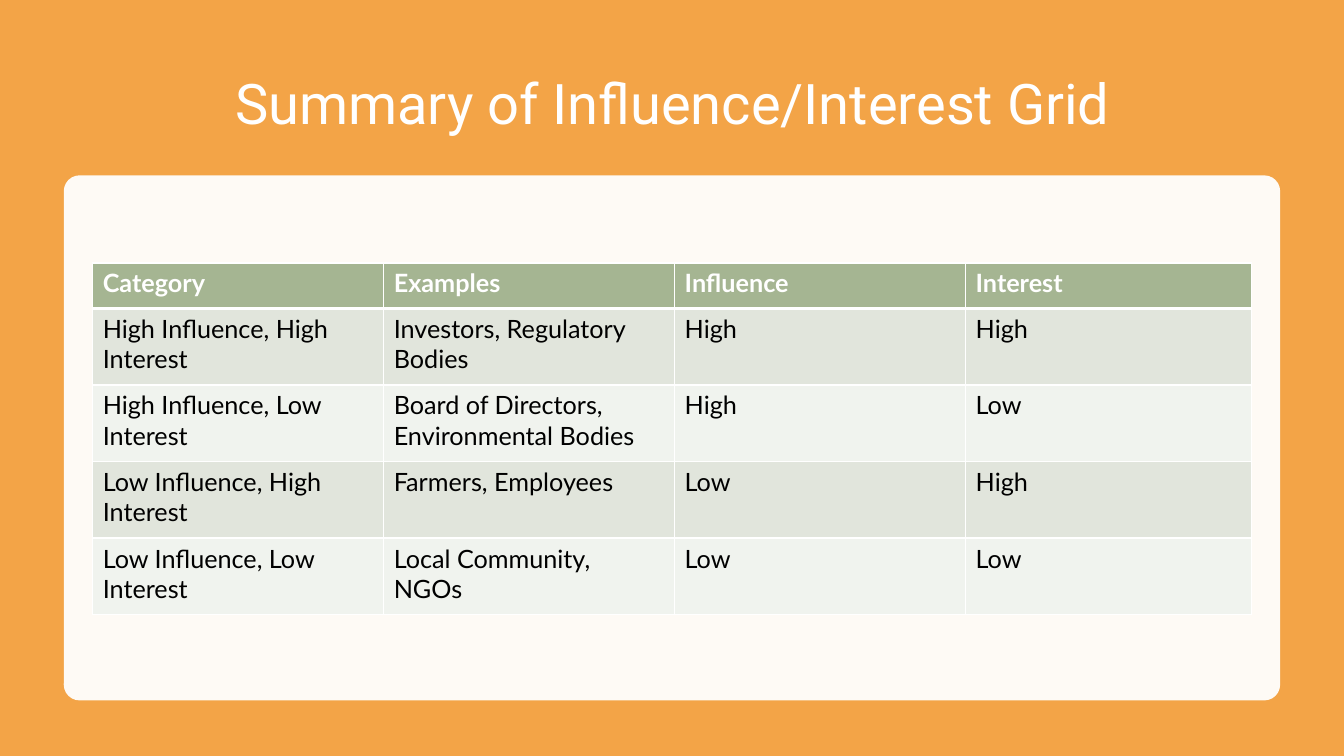
from lxml import etree
from pptx import Presentation
from pptx.dml.color import RGBColor
from pptx.enum.shapes import MSO_SHAPE
from pptx.enum.text import MSO_ANCHOR, PP_ALIGN
from pptx.oxml.ns import qn
from pptx.util import Inches, Pt

RECT, ROUND = MSO_SHAPE.RECTANGLE, MSO_SHAPE.ROUNDED_RECTANGLE
MIDDLE, CENTER = MSO_ANCHOR.MIDDLE, PP_ALIGN.CENTER
TITLE_ONLY = 5
HEX = {"orange": "F3A447", "white": "FFFFFF", "black": "000000",
       "head": "A5B592", "odd": "E1E5DC", "even": "F0F3EE"}
GRID = [
    ("Category", "Examples", "Influence", "Interest"),
    ("High Influence, High Interest", "Investors, Regulatory Bodies", "High", "High"),
    ("High Influence, Low Interest", "Board of Directors, Environmental Bodies",
     "High", "Low"),
    ("Low Influence, High Interest", "Farmers, Employees", "Low", "High"),
    ("Low Influence, Low Interest", "Local Community, NGOs", "Low", "Low"),
]


def tint(name):
    return RGBColor.from_string(HEX[name])


class Deck:
    """Holds the style and the current slide; lengths are percent of its size."""

    def __init__(self):
        self.prs = Presentation()
        self.prs.slide_width, self.prs.slide_height = Inches(13.33), Inches(7.5)
        self.slide = self.prs.slides.add_slide(self.prs.slide_layouts[TITLE_ONLY])

    def wide(self, share):
        return round(self.prs.slide_width * share / 100)

    def high(self, share):
        return round(self.prs.slide_height * share / 100)

    def box(self, left, top, width, height):
        return self.wide(left), self.high(top), self.wide(width), self.high(height)

    def style(self, para, font, size, color, bold=False):
        for run in para.runs:
            run.font.name, run.font.size, run.font.bold = font, Pt(size), bold
            run.font.color.rgb = tint(color)

    def panel(self, kind, box, color, alpha=100, round_by=None):
        shape = self.slide.shapes.add_shape(kind, *self.box(*box))
        shape.shadow.inherit = False
        shape.fill.solid()
        shape.fill.fore_color.rgb = tint(color)
        shape.line.fill.background()
        if round_by is not None:
            shape.adjustments[0] = round_by
        if alpha < 100:
            fill = shape.fill._xPr.find(qn("a:solidFill"))
            etree.SubElement(fill[0], qn("a:alpha"), val=str(alpha * 1000))

    def title(self, text, box):
        """Fill the title placeholder and bring it in front of the panels."""
        title = self.slide.shapes.title
        title.left, title.top, title.width, title.height = self.box(*box)
        frame = title.text_frame
        frame.text = text
        frame.word_wrap = True
        frame.vertical_anchor = MIDDLE
        para = frame.paragraphs[0]
        para.alignment, para.line_spacing = CENTER, 0.9
        self.style(para, "Roboto", 40, "white")
        self.slide.shapes._spTree.append(title._element)

    def edge(self, cell, sides):
        """Draw white borders; sides maps L, R, T, B to a width in points."""
        props = cell._tc.get_or_add_tcPr()
        for spot, (side, width) in enumerate(sides.items()):
            line = etree.Element(qn(f"a:ln{side}"), w=str(Pt(width)))
            fill = etree.SubElement(line, qn("a:solidFill"))
            etree.SubElement(fill, qn("a:srgbClr"), val=HEX["white"])
            props.insert(spot, line)

    def table(self, data, left, top, cols, rows):
        box = self.box(left, top, sum(cols), sum(rows))
        table = self.slide.shapes.add_table(len(rows), len(cols), *box).table
        for col, width in zip(table.columns, cols):
            col.width = self.wide(width)
        for r, (row, height) in enumerate(zip(table.rows, rows)):
            row.height = self.high(height)
            head = r == 0
            color = "head" if head else "odd" if r % 2 else "even"
            sides = {"L": 1, "R": 1, "T": 3 if r == 1 else 1, "B": 3 if head else 1}
            for cell, text in zip(row.cells, data[r]):
                cell.text_frame.text = text
                self.style(cell.text_frame.paragraphs[0], "Lato", 18,
                           "white" if head else "black", head)
                cell.fill.solid()
                cell.fill.fore_color.rgb = tint(color)
                self.edge(cell, sides)


def main():
    deck = Deck()
    deck.panel(RECT, (0, 0, 100, 100), "orange")
    deck.title("Summary of Influence/Interest Grid", (6.9, 6.67, 86.25, 14.67))
    deck.panel(ROUND, (4.75, 23.2, 90.5, 69.45), "white", 95, 0.03)
    deck.table(GRID, 6.9, 34.8, [21.65] * 3 + [21.3], [6] + [10.13] * 4)
    deck.prs.save("out.pptx")


if __name__ == "__main__":
    main()
